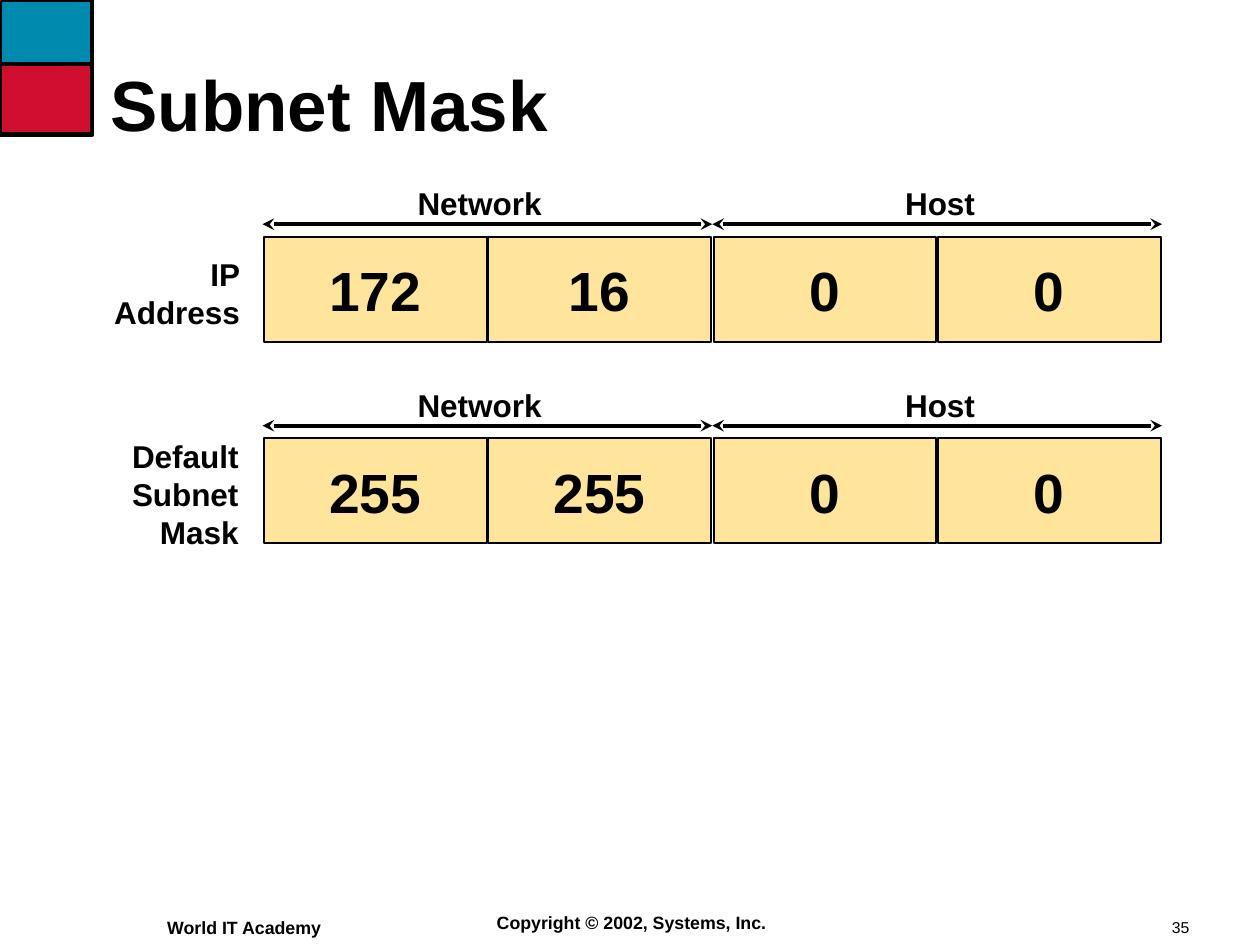
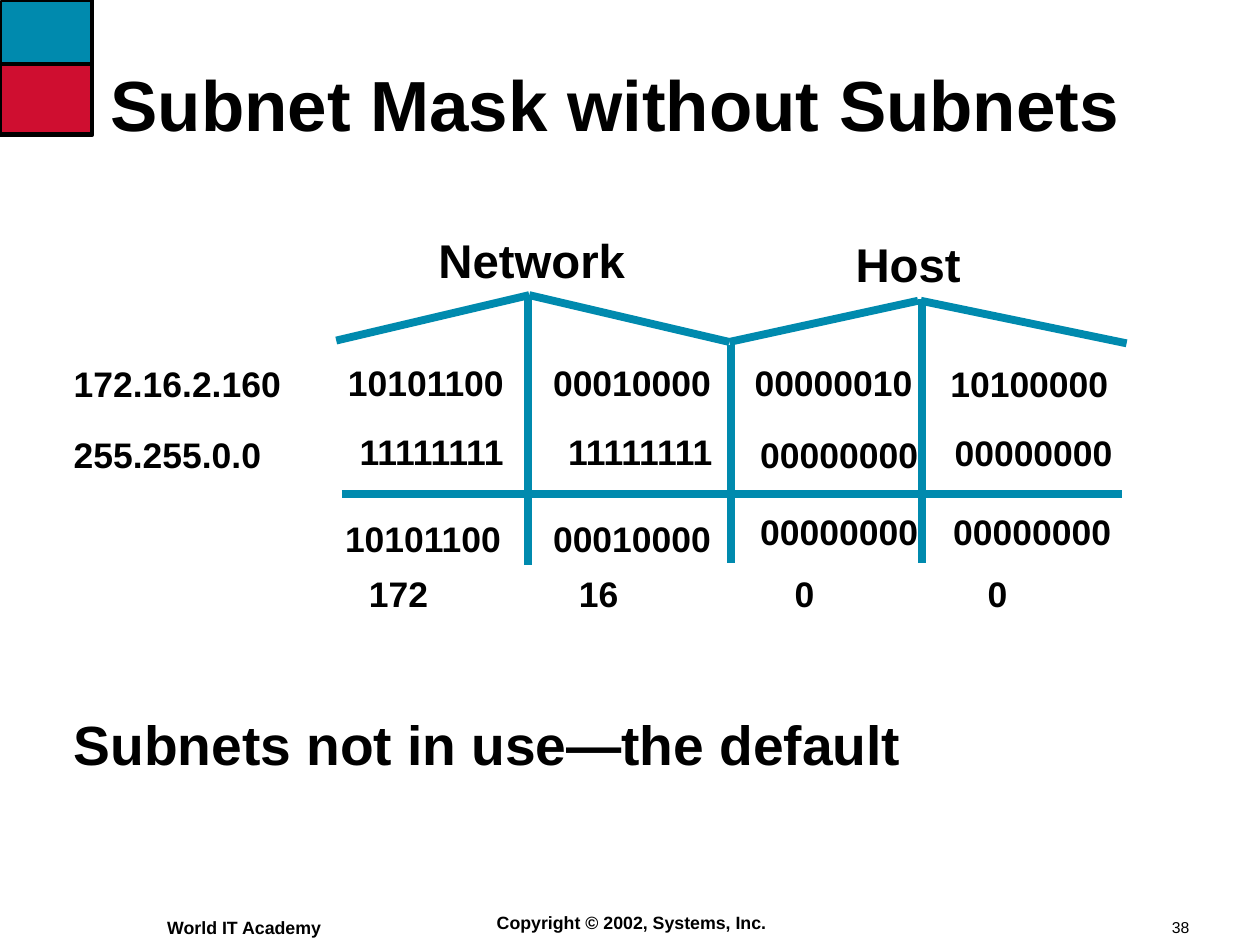
from pptx import Presentation
from pptx.dml.color import RGBColor
from pptx.enum.shapes import MSO_CONNECTOR, MSO_SHAPE
from pptx.enum.text import MSO_ANCHOR, PP_ALIGN
from pptx.oxml.ns import qn
from pptx.util import Pt
from lxml.etree import SubElement

PX = 9144  # 100 px to the inch
FONT = "Arial"
COLORS = {"teal": "008AAE", "red": "CF0E30", "cell": "FFE59B", "black": "000000"}
RGB = {name: RGBColor.from_string(value) for name, value in COLORS.items()}
LEFT, CENTER, RIGHT = PP_ALIGN.LEFT, PP_ALIGN.CENTER, PP_ALIGN.RIGHT
TOP, MIDDLE = MSO_ANCHOR.TOP, MSO_ANCHOR.MIDDLE


def add_box(s, box, text, size=18, align=LEFT, spacing=None, bold=True,
            anchor=TOP, wrap=False, inset=(10, 5), fill=None):
    """Add a text box, or an outlined rectangle when a fill is given."""
    box = [v * PX for v in box]
    if fill:
        sp = s.shapes.add_shape(MSO_SHAPE.RECTANGLE, *box)
        sp.shadow.inherit = False
        sp.fill.solid()
        sp.fill.fore_color.rgb = RGB[fill]
        sp.line.color.rgb = RGB["black"]
        sp.line.width = Pt(1)
    else:
        sp = s.shapes.add_textbox(*box)
    tf = sp.text_frame
    tf.word_wrap = wrap
    tf.vertical_anchor = anchor
    tf.margin_left = tf.margin_right = inset[0] * PX
    tf.margin_top = tf.margin_bottom = inset[1] * PX
    p = tf.paragraphs[0]
    p.text = text
    p.alignment = align
    if spacing:
        p.line_spacing = spacing
    p.font.name, p.font.size, p.font.bold = FONT, Pt(size), bold
    p.font.color.rgb = RGB["black"]


def add_line(s, x1, y1, x2, y2, color, width, arrows=False):
    c = s.shapes.add_connector(MSO_CONNECTOR.STRAIGHT, x1 * PX, y1 * PX, x2 * PX, y2 * PX)
    c.line.color.rgb = RGB[color]
    c.line.width = Pt(width)
    if arrows:
        for end in ("a:headEnd", "a:tailEnd"):
            SubElement(c.line._get_or_add_ln(), qn(end), type="stealth")
    SubElement(c._element.spPr, qn("a:effectLst"))


prs = Presentation()
prs.slide_width, prs.slide_height = 888 * PX, 666 * PX

# Shared frame: corner blocks, title and footer
slides = []
for title, number in (("Subnet Mask", "35"), ("Subnet Mask without Subnets", "38")):
    s = prs.slides.add_slide(prs.slide_layouts[6])
    add_box(s, (1, 1, 63, 68), "", fill="teal")
    add_box(s, (1, 46, 63, 48), "", fill="red")
    add_line(s, 65, 45, 0, 45, "black", 2)
    builder = s.shapes.build_freeform(0, 95, scale=PX)
    builder.add_line_segments([(65, 95), (65, 0)], close=False)
    edge = builder.convert_to_shape()
    edge.shadow.inherit = False
    edge.fill.background()
    edge.line.color.rgb = RGB["black"]
    edge.line.width = Pt(2)
    add_box(s, (70, 21, 774, 111), title, 36, spacing=0.9, anchor=MIDDLE, wrap=True, inset=(8, 4))
    add_box(s, (108, 641, 132, 25), "World IT Academy", 9)
    add_box(s, (341, 638, 208, 24), "Copyright © 2002, Systems, Inc.", 9, CENTER, inset=(9, 5))
    add_box(s, (818, 643, 67, 21), number, 8, bold=False, inset=(8, 4))
    slides.append(s)
mask_slide, binary_slide = slides

# Slide 1: address and mask as rows of four octets
ADDRESS_ROWS = (
    (167, (70, 175, 109, 63), "IP\nAddress", ("172", "16", "0", "0")),
    (309, (83, 303, 95, 90), "Default\nSubnet\nMask", ("255", "255", "0", "0")),
)
for top, label_box, label, octets in ADDRESS_ROWS:
    for i, octet in enumerate(octets):
        add_box(mask_slide, (186 + i * 317 // 2, top, 157, 74), octet, 28, CENTER,
                anchor=MIDDLE, fill="cell")
    add_box(mask_slide, label_box, label, 16, RIGHT)
    for i, (part, left, width) in enumerate((("Network", 284, 108), ("Host", 628, 69))):
        add_box(mask_slide, (left, top - 42, width, 37), part, 16, CENTER)
        start = 185 + i * 317
        add_line(mask_slide, start, top - 9, start + 317, top - 9, "black", 2, arrows=True)

# Slide 2: binary AND of address and mask
LABELS = (
    (307, 161, "Network", 24, 28),
    (601, 164, "Host", 24, 28),
    (50, 253, "172.16.2.160", 18, 21),
    (50, 307, "255.255.0.0", 18, 18),
    (258, 401, "172", 18, 21),
    (406, 401, "16", 18, 21),
    (558, 401, "0", 18, 21),
    (694, 401, "0", 18, 21),
)
for left, top, text, size, spacing in LABELS:
    add_box(binary_slide, (left, top, 196, 51), text, size, spacing=Pt(spacing), inset=(2, 3))

GRID_LINES = (
    (372, 210, 372, 398), (241, 348, 791, 348), (515, 243, 515, 397), (650, 211, 650, 397),
    (237, 240, 373, 208), (373, 208, 514, 241), (514, 241, 647, 212), (649, 212, 794, 242),
)
for ends in GRID_LINES:
    add_line(binary_slide, *ends, "teal", 4)

# Line spacing, then each octet with its right edge and top
BINARY_ROWS = (
    (19, (("10101100", 357, 255), ("00010000", 503, 255),
          ("00000010", 645, 255), ("10100000", 783, 256))),
    (18, (("11111111", 357, 305), ("11111111", 504, 305),
          ("00000000", 649, 307), ("00000000", 786, 306))),
    (21, (("10101100", 355, 362), ("00010000", 503, 362),
          ("00000000", 649, 357), ("00000000", 785, 357))),
)
for spacing, octets in BINARY_ROWS:
    for octet, right, top in octets:
        add_box(binary_slide, (right - 125, top, 125, 40), octet, 18, RIGHT,
                Pt(spacing), inset=(2, 3))

add_box(binary_slide, (44, 491, 799, 70), "Subnets not in use—the default", 28,
        spacing=0.95, anchor=MIDDLE, wrap=True, inset=(8, 4))

prs.save("out.pptx")
